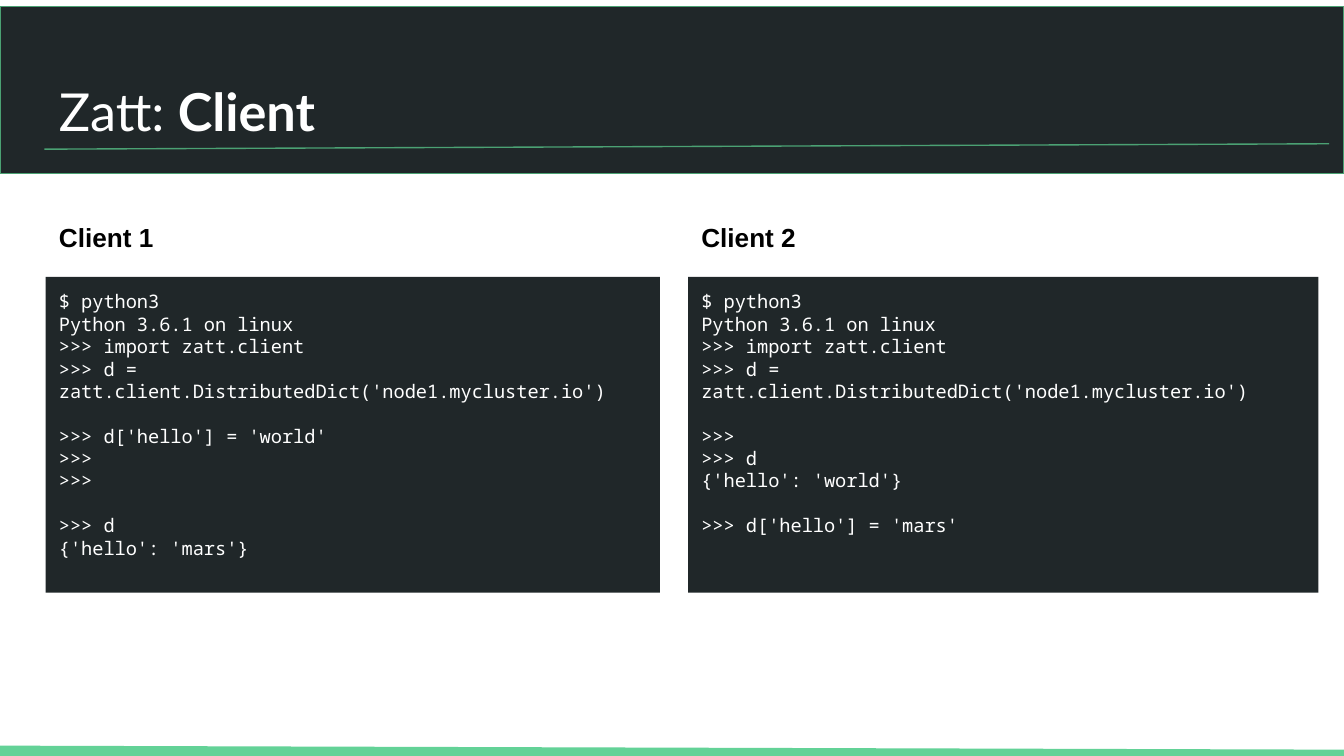
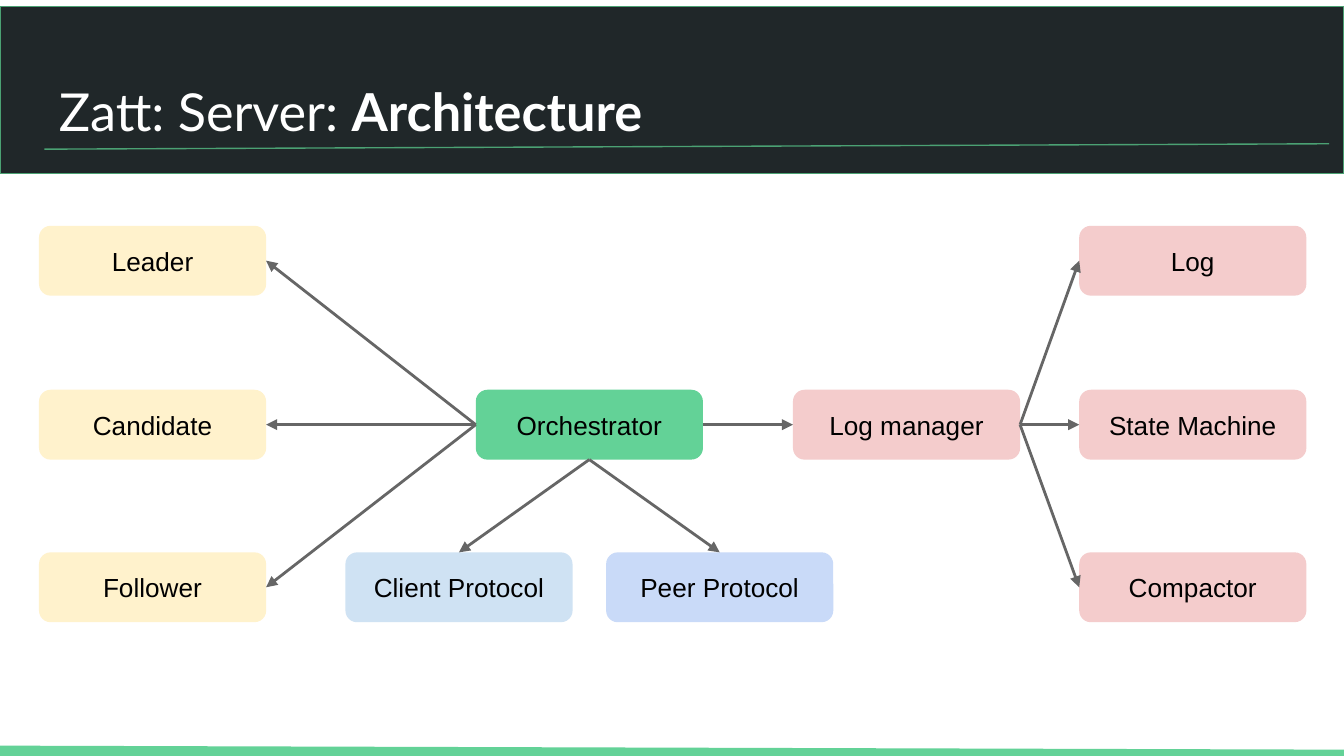
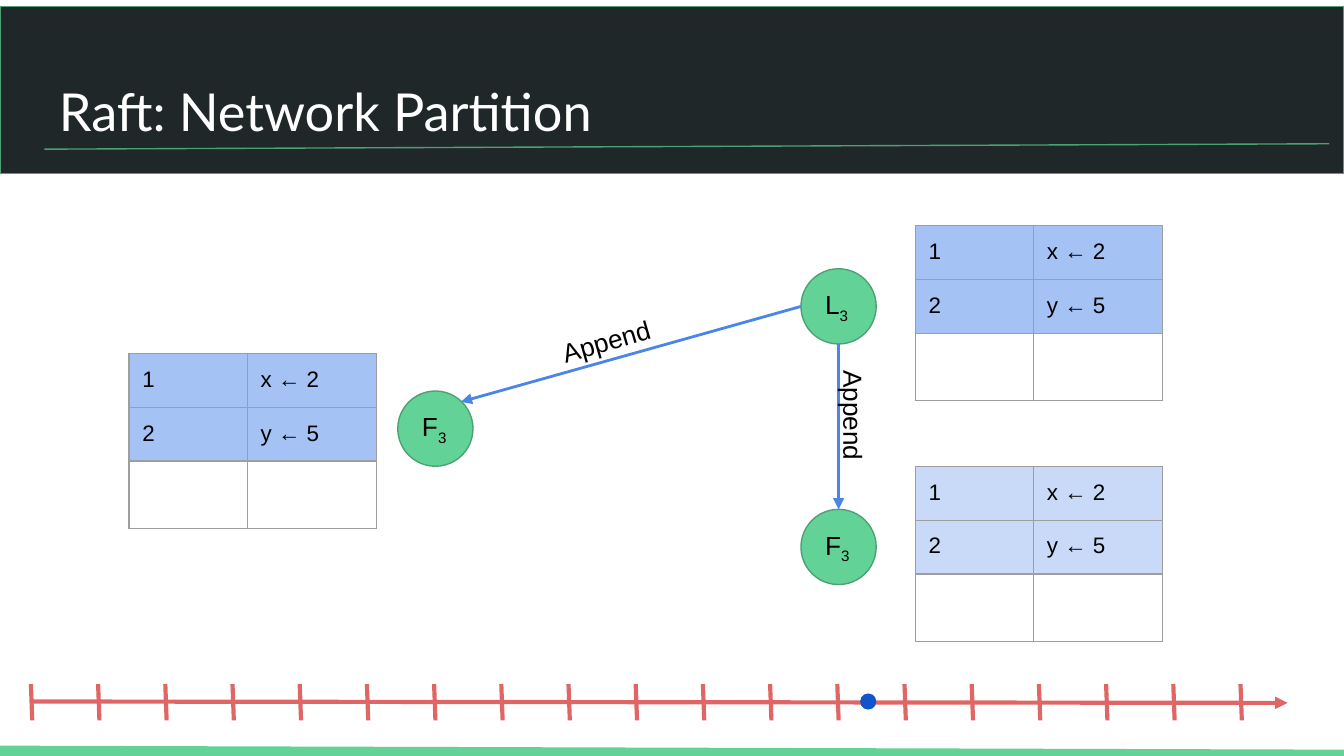
from lxml.etree import SubElement
from pptx import Presentation
from pptx.dml.color import RGBColor
from pptx.enum.shapes import MSO_CONNECTOR, MSO_SHAPE
from pptx.enum.text import MSO_ANCHOR, PP_ALIGN
from pptx.oxml.ns import qn
from pptx.util import Inches, Pt

DARK, WHITE, BLACK = "202729", "FFFFFF", "000000"
GREEN, DEEP_GREEN = "63D297", "4BA173"
YELLOW, PINK, PALE_BLUE, SKY = "FFF2CC", "F4CCCC", "C9DAF8", "CFE2F3"
GRAY, RED, BLUE, LOG_BLUE, NAVY = "666666", "E06666", "4A86E8", "A4C2F4", "1155CC"
BORDER = "9E9E9E"
INSET = Inches(0.1)
TOP, LEFT, BOTTOM, RIGHT = range(4)


def color(value):
    return RGBColor.from_string(value)


def set_font(paragraph, size, value=BLACK, name="Arial", bold=None):
    font = paragraph.font
    font.size, font.name, font.bold = Pt(size), name, bold
    font.color.rgb = color(value)


def prepare_frame(shape, anchor=MSO_ANCHOR.TOP):
    frame = shape.text_frame
    frame.word_wrap = True
    frame.vertical_anchor = anchor
    frame.margin_left = frame.margin_right = INSET
    frame.margin_top = frame.margin_bottom = INSET
    return frame


def add_box(slide, kind, left, top, width, height, fill, line=None):
    shape = slide.shapes.add_shape(
        kind, Inches(left), Inches(top), Inches(width), Inches(height))
    shape.shadow.inherit = False
    shape.fill.solid()
    shape.fill.fore_color.rgb = color(fill)
    if line:
        shape.line.color.rgb = color(line)
        shape.line.width = Pt(0.75)
    else:
        shape.line.fill.background()
    return shape


def add_label(slide, left, top, width, height, text, bold=None,
              align=PP_ALIGN.LEFT, rotation=0):
    label = slide.shapes.add_textbox(
        Inches(left), Inches(top), Inches(width), Inches(height))
    label.rotation = rotation
    paragraph = prepare_frame(label).paragraphs[0]
    paragraph.text = text
    paragraph.alignment = align
    set_font(paragraph, 14, bold=bold)


def add_line(slide, start, end, value, width, arrow=False):
    points = [Inches(number) for number in (*start, *end)]
    line = slide.shapes.add_connector(MSO_CONNECTOR.STRAIGHT, *points)
    line.line.color.rgb = color(value)
    line.line.width = Pt(width)
    if arrow:
        SubElement(line.line._get_or_add_ln(), qn("a:tailEnd"), type="triangle")
    SubElement(line._element.spPr, qn("a:effectLst"))
    return line


# Shared header band, title and footer stripe
def add_base_slide(presentation, title, bold_part=""):
    slide = presentation.slides.add_slide(presentation.slide_layouts[6])
    add_box(slide, MSO_SHAPE.RECTANGLE, 0, 0.05, 10, 1.24, DARK, DEEP_GREEN)
    title_box = slide.shapes.add_textbox(
        Inches(0.34), Inches(0.49), Inches(9.32), Inches(0.63))
    paragraph = prepare_frame(title_box).paragraphs[0]
    paragraph.add_run().text = title
    if bold_part:
        run = paragraph.add_run()
        run.text = bold_part
        run.font.bold = True
    set_font(paragraph, 28, WHITE, "Lato")
    add_line(slide, (0.33, 1.11), (9.89, 1.07), DEEP_GREEN, 0.75)
    add_line(slide, (0, 5.59), (10, 5.62), GREEN, 6)
    return slide


# Heading above a terminal; each block of lines is set off by one line of space
def add_terminal(slide, left, top, width, heading, blocks):
    add_label(slide, left, top, 4.36, 0.51, heading, bold=True)
    screen = add_box(slide, MSO_SHAPE.RECTANGLE, left, top + 0.51, width, 2.35, DARK)
    frame = prepare_frame(screen)
    paragraph = None
    for block in blocks:
        for index, line in enumerate(block):
            is_first = paragraph is None
            paragraph = frame.paragraphs[0] if is_first else frame.add_paragraph()
            paragraph.text = line
            paragraph.alignment = PP_ALIGN.LEFT
            paragraph.line_spacing = Pt(12)
            if index == 0 and not is_first:
                paragraph.space_before = Pt(12)
            set_font(paragraph, 10, WHITE, "Noto Sans Mono")


def build_client_slide(presentation):
    slide = add_base_slide(presentation, "Zatt: ", "Client")
    session = ["$ python3", "Python 3.6.1 on linux", ">>> import zatt.client",
               ">>> d = zatt.client.DistributedDict('node1.mycluster.io')"]
    add_terminal(slide, 0.34, 1.55, 4.57, "Client 1", [
        session,
        [">>> d['hello'] = 'world'", ">>>", ">>>"],
        [">>> d", "{'hello': 'mars'}"]])
    add_terminal(slide, 5.12, 1.55, 4.69, "Client 2", [
        session,
        [">>>", ">>> d", "{'hello': 'world'}"],
        [">>> d['hello'] = 'mars'"]])


def add_component(slide, left, top, name, fill):
    shape = add_box(slide, MSO_SHAPE.ROUNDED_RECTANGLE, left, top, 1.69, 0.52, fill)
    paragraph = prepare_frame(shape, MSO_ANCHOR.MIDDLE).paragraphs[0]
    paragraph.text = name
    paragraph.alignment = PP_ALIGN.CENTER
    set_font(paragraph, 14)
    return shape


def join(slide, source, source_side, target, target_side):
    arrow = add_line(slide, (0, 0), (1, 1), GRAY, 1.5, arrow=True)
    arrow.begin_connect(source, source_side)
    arrow.end_connect(target, target_side)


def build_architecture_slide(presentation):
    slide = add_base_slide(presentation, "Zatt: Server: ", "Architecture")
    rows = (1.68, 2.9, 4.11)
    orchestrator = add_component(slide, 3.54, rows[1], "Orchestrator", GREEN)
    log_manager = add_component(slide, 5.9, rows[1], "Log manager", PINK)
    # Node states, protocols and log parts
    states = [add_component(slide, 0.29, top, name, YELLOW)
              for top, name in zip(rows, ("Leader", "Candidate", "Follower"))]
    protocols = [add_component(slide, 2.57, rows[2], "Client Protocol", SKY),
                 add_component(slide, 4.51, rows[2], "Peer Protocol", PALE_BLUE)]
    log_parts = [add_component(slide, 8.03, top, name, PINK)
                 for top, name in zip(rows, ("Log", "State Machine", "Compactor"))]
    # Arrows
    join(slide, orchestrator, RIGHT, log_manager, LEFT)
    for part in log_parts:
        join(slide, log_manager, RIGHT, part, LEFT)
    for protocol in protocols:
        join(slide, orchestrator, BOTTOM, protocol, TOP)
    for state in states:
        join(slide, orchestrator, LEFT, state, RIGHT)


def add_node(slide, left, top, role):
    node = add_box(slide, MSO_SHAPE.OVAL, left, top, 0.56, 0.56, GREEN, DEEP_GREEN)
    paragraph = prepare_frame(node, MSO_ANCHOR.MIDDLE).paragraphs[0]
    paragraph.alignment = PP_ALIGN.LEFT
    paragraph.add_run().text = role
    term = paragraph.add_run()
    term.text = "3"
    term._r.get_or_add_rPr().set("baseline", "-25000")
    set_font(paragraph, 14)


def set_borders(cell):
    properties = cell._tc.get_or_add_tcPr()
    for side in ("a:lnL", "a:lnR", "a:lnT", "a:lnB"):
        border = SubElement(properties, qn(side), w=str(Pt(0.75)))
        fill = SubElement(border, qn("a:solidFill"))
        SubElement(fill, qn("a:srgbClr"), val=BORDER)


# Rows grow to fit their text
def add_log_table(slide, left, top, fill):
    entries = [("1", "x ← 2"), ("2", "y ← 5"), ("", "")]
    widths, heights = (0.88, 0.96), (0.37, 0.12, 0.38)
    table = slide.shapes.add_table(
        len(heights), len(widths), Inches(left), Inches(top),
        Inches(sum(widths)), Inches(sum(heights))).table
    table.first_row = table.horz_banding = False
    for column, width in zip(table.columns, widths):
        column.width = Inches(width)
    for row, height, entry in zip(table.rows, heights, entries):
        row.height = Inches(height)
        for cell, text in zip(row.cells, entry):
            cell.margin_left = cell.margin_right = INSET
            cell.margin_top = cell.margin_bottom = INSET
            set_borders(cell)
            paragraph = cell.text_frame.paragraphs[0]
            if text:
                paragraph.text = text
                set_font(paragraph, 12)
                cell.fill.solid()
                cell.fill.fore_color.rgb = color(fill)
            else:
                set_font(paragraph, 18)
                cell.fill.background()


def add_timeline(slide, left, top, now):
    add_line(slide, (left, top + 0.13), (left + 9.35, top + 0.14), RED, 2.25, arrow=True)
    for tick in range(19):
        x = left + 0.5 * tick
        add_line(slide, (x, top), (x + 0.01, top + 0.27), RED, 2.25)
    add_box(slide, MSO_SHAPE.OVAL, left + now, top + 0.07, 0.12, 0.12, NAVY)


def build_partition_slide(presentation):
    slide = add_base_slide(presentation, "Raft: Network Partition")
    add_timeline(slide, 0.23, 5.09, 6.17)
    # Nodes and their logs
    for left, top, role in ((2.96, 2.91, "F"), (5.96, 2, "L"), (5.96, 3.79, "F")):
        add_node(slide, left, top, role)
    for left, top, fill in ((0.96, 2.63, LOG_BLUE), (6.81, 1.68, LOG_BLUE),
                            (6.81, 3.47, PALE_BLUE)):
        add_log_table(slide, left, top, fill)
    # Append messages from the leader
    for start, end, left, top, rotation in (
            ((6.24, 2.56), (6.24, 3.79), 5.57, 2.84, 90),
            ((5.96, 2.28), (3.43, 2.99), 3.77, 2.32, 343.7)):
        add_line(slide, start, end, BLUE, 1.5, arrow=True)
        add_label(slide, left, top, 1.5, 0.5, "Append",
                  align=PP_ALIGN.CENTER, rotation=rotation)


def main():
    presentation = Presentation()
    presentation.slide_width = Inches(10)
    presentation.slide_height = Inches(10) * 9 // 16
    build_client_slide(presentation)
    build_architecture_slide(presentation)
    build_partition_slide(presentation)
    presentation.save("out.pptx")


if __name__ == "__main__":
    main()
